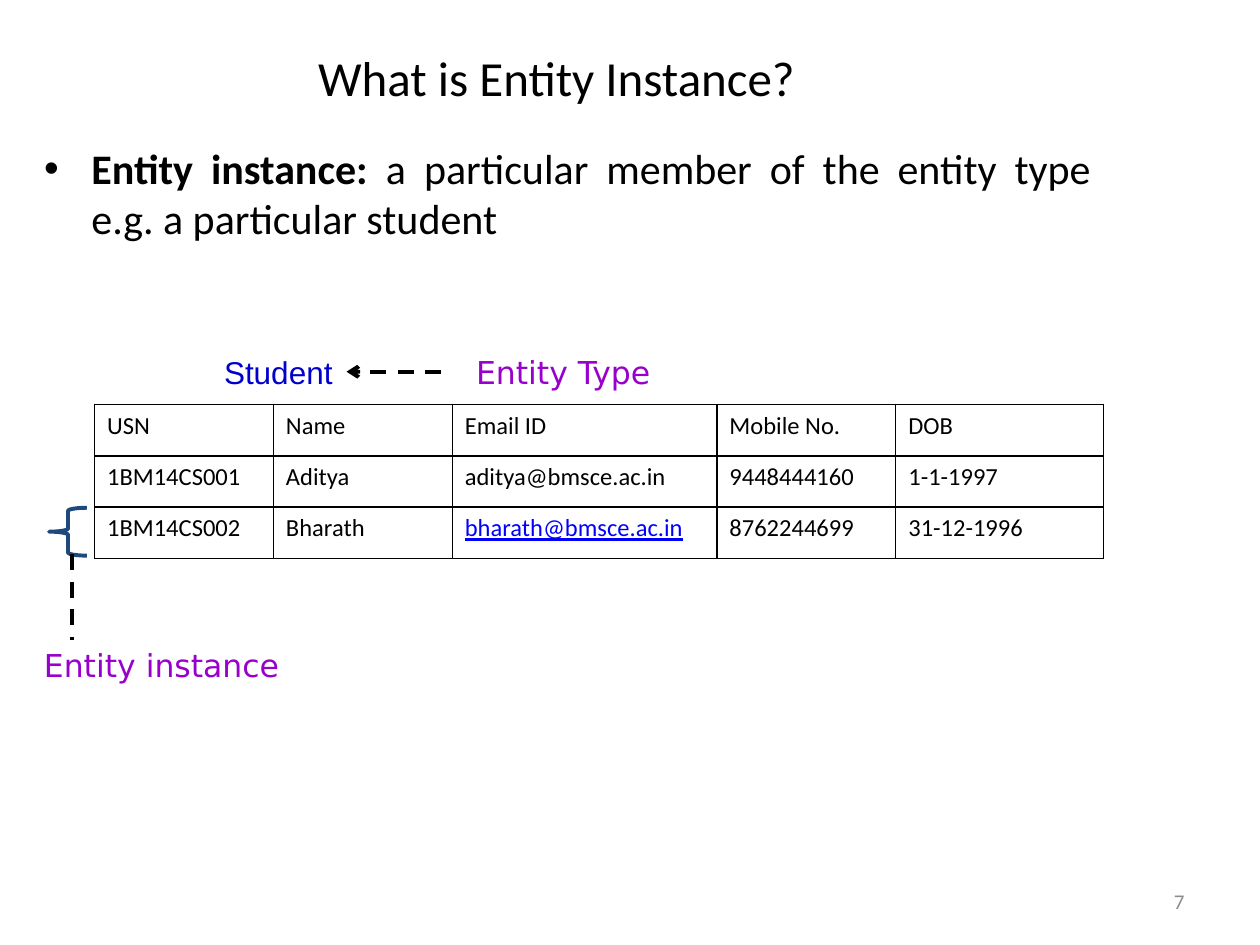
from pptx import Presentation, util as u
from pptx.dml.color import RGBColor
from pptx.enum import dml, shapes, text
from pptx.oxml import parse_xml
from pptx.oxml.ns import nsdecls, qn
from lxml import etree

BLACK = RGBColor(0x00, 0x00, 0x00)
WHITE = RGBColor(0xFF, 0xFF, 0xFF)
NAVY = RGBColor(0x1F, 0x49, 0x7D)
BLUE = RGBColor(0x00, 0x00, 0xCC)
LINK = RGBColor(0x00, 0x00, 0xFF)
PURPLE = RGBColor(0x99, 0x00, 0xCC)
GREY = RGBColor(0x8C, 0x8C, 0x8C)
COLUMNS, ROWS = 40, 30


class EntitySlide:
    """Places styled elements on one slide by a grid of 40 columns and 30 rows."""

    base = {"name": "Calibri", "size": u.Pt(14), "color": BLACK}

    def __init__(self, deck):
        self.column = deck.slide_width / COLUMNS
        self.row = deck.slide_height / ROWS
        self.slide = deck.slides.add_slide(deck.slide_layouts[1])

    def across(self, columns):
        return u.Emu(round(columns * self.column))

    def down(self, rows):
        return u.Emu(round(rows * self.row))

    def area(self, left, top, width, height):
        return self.across(left), self.down(top), self.across(width), self.down(height)

    def style(self, font, **changes):
        for key, value in {**self.base, **changes}.items():
            if key == "color":
                font.color.rgb = value
            else:
                setattr(font, key, value)

    def add_words(self, paragraph, words, **changes):
        run = paragraph.add_run()
        run.text = words
        self.style(run.font, **changes)

    def placeholder(self, index, area, runs, size, align, anchor):
        holder = self.slide.placeholders[index]
        for key, value in zip(("left", "top", "width", "height"), self.area(*area)):
            setattr(holder, key, value)
        frame = holder.text_frame
        frame.auto_size = text.MSO_AUTO_SIZE.NONE
        frame.vertical_anchor = anchor
        paragraph = frame.paragraphs[0]
        paragraph.alignment = align
        paragraph.space_before = u.Pt(0)
        for words, bold in runs:
            self.add_words(paragraph, words, size=u.Pt(size), bold=bold)

    def label(self, area, words, align=text.PP_ALIGN.LEFT, wrap=False, **changes):
        box = self.slide.shapes.add_textbox(*self.area(*area))
        frame = box.text_frame
        frame.word_wrap = wrap
        frame.auto_size = text.MSO_AUTO_SIZE.NONE if wrap else text.MSO_AUTO_SIZE.SHAPE_TO_FIT_TEXT
        frame.vertical_anchor = text.MSO_ANCHOR.MIDDLE if wrap else text.MSO_ANCHOR.TOP
        paragraph = frame.paragraphs[0]
        paragraph.alignment = align
        self.add_words(paragraph, words, **changes)
        return box

    def table(self, left, top, widths, height, records, links):
        grid = self.slide.shapes.add_table(
            len(records), len(widths),
            *self.area(left, top, sum(widths), height * len(records))).table
        grid.first_row = grid.horz_banding = False
        for column, width in zip(grid.columns, widths):
            column.width = self.across(width)
        for row, record in zip(grid.rows, records):
            row.height = self.down(height)
            for cell, words in zip(row.cells, record):
                marks = {"color": LINK, "underline": True} if words in links else {}
                self.add_words(cell.text_frame.paragraphs[0], words, **marks)
                self.border(cell)
                cell.fill.solid()
                cell.fill.fore_color.rgb = WHITE

    def border(self, cell):
        properties = cell._tc.get_or_add_tcPr()
        for side in ("lnL", "lnR", "lnT", "lnB"):
            properties.append(parse_xml(
                f'<a:{side} {nsdecls("a")} w="{int(u.Pt(1))}"><a:solidFill>'
                f'<a:srgbClr val="{BLACK}"/></a:solidFill></a:{side}>'))

    def dashed(self, start, end, target=None, arrow=False):
        line = self.slide.shapes.add_connector(
            shapes.MSO_CONNECTOR.STRAIGHT, self.across(start[0]), self.down(start[1]),
            self.across(end[0]), self.down(end[1]))
        if target is not None:
            line.end_connect(target, 3)
        line.line.color.rgb = BLACK
        line.line.width = u.Pt(2.25)
        line.line.dash_style = dml.MSO_LINE.DASH
        if arrow:
            etree.SubElement(line.line._get_or_add_ln(), qn("a:tailEnd"), type="arrow")
        etree.SubElement(line._element.spPr, qn("a:effectLst"))

    def brace(self, area):
        brace = self.slide.shapes.add_shape(shapes.MSO_SHAPE.LEFT_BRACE, *self.area(*area))
        brace.shadow.inherit = False
        brace.fill.background()
        brace.line.color.rgb = NAVY
        brace.line.width = u.Pt(2.25)


def main():
    deck = Presentation()
    deck.slide_width, deck.slide_height = u.Inches(10), u.Inches(7.5)
    page = EntitySlide(deck)
    page.placeholder(0, (2, 1.4, 31.68, 2.08), [("What is Entity Instance? ", False)],
                     28, text.PP_ALIGN.CENTER, text.MSO_ANCHOR.MIDDLE)
    page.placeholder(1, (1, 4.32, 34.04, 15.52),
                     [("Entity instance: ", True),
                      ("a particular member of the entity type e.g. a particular student", False)],
                     24, text.PP_ALIGN.JUSTIFY, text.MSO_ANCHOR.TOP)
    students = [
        ("USN", "Name", "Email ID", "Mobile No.", "DOB"),
        ("1BM14CS001", "Aditya", "aditya@bmsce.ac.in", "9448444160", "1-1-1997"),
        ("1BM14CS002", "Bharath", "bharath@bmsce.ac.in", "8762244699", "31-12-1996"),
    ]
    page.table(3, 12.84, (5.68, 5.68, 8.4, 5.68, 6.6), 1.63, students, {"bharath@bmsce.ac.in"})
    student = page.label((6.72, 11, 4.28, 1.6), "Student",
                         name="Arial", size=u.Pt(18), color=BLUE)
    page.dashed((14, 11.8), (11, 11.8), target=student, arrow=True)
    term = {"name": "DejaVu Sans", "size": u.Pt(18), "color": PURPLE}
    page.label((14.72, 11, 6.48, 1.6), "Entity Type", **term)
    page.brace((1.56, 16.12, 1.2, 1.52))
    page.dashed((2.28, 17.6), (2.28, 20.32))
    page.label((1, 20.32, 8.32, 1.6), "Entity instance", **term)
    page.label((28.68, 27.8, 9.32, 1.6), "7", align=text.PP_ALIGN.RIGHT, wrap=True,
               size=u.Pt(12), color=GREY)
    deck.save("out.pptx")


if __name__ == "__main__":
    main()
